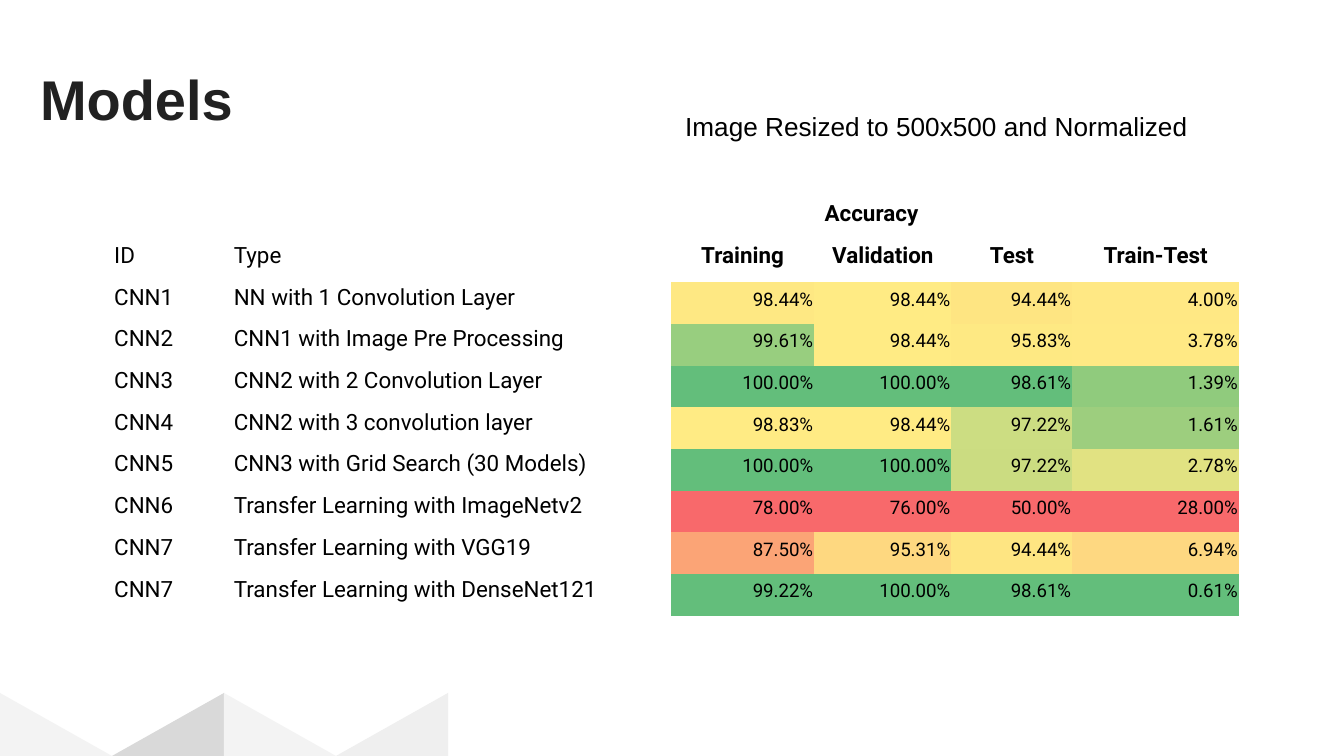
from typing import NamedTuple

from pptx import Presentation
from pptx.dml.color import RGBColor
from pptx.enum.shapes import MSO_SHAPE
from pptx.enum.text import MSO_ANCHOR, PP_ALIGN
from pptx.oxml.ns import qn
from pptx.util import Inches, Pt
from lxml import etree

LEFT, CENTER, RIGHT = PP_ALIGN.LEFT, PP_ALIGN.CENTER, PP_ALIGN.RIGHT
BOTTOM = MSO_ANCHOR.BOTTOM
RIGHT_TRIANGLE = MSO_SHAPE.RIGHT_TRIANGLE

SLIDE_W = 10
SLIDE_H = SLIDE_W * 9 / 16
FOLD_W, FOLD_H = SLIDE_W / 12, SLIDE_H / 12
COLUMN_WIDTHS = (0.89, 3.26, 1.07, 1.02, 0.9, 1.24)
ROW_H = 0.22  # least height; rows grow with their text
BLACK = "000000"


class TextStyle(NamedTuple):
    size: float
    font: str = "Roboto"
    color: str = BLACK
    bold: bool = False
    align: PP_ALIGN = LEFT
    spacing: float = 1.0


class Fold(NamedTuple):
    color: str
    rising: bool


class Model(NamedTuple):
    id: str
    type: str
    accuracies: tuple[str, ...]
    heat: tuple[str, ...]


TITLE = TextStyle(30, "Arial", "212121", True)
CAPTION = TextStyle(14, "Arial")
LABEL = TextStyle(12)
GROUP_HEAD = TextStyle(12, bold=True, align=CENTER, spacing=1.15)
COLUMN_HEAD = TextStyle(12, bold=True, align=CENTER)
VALUE = TextStyle(10, align=RIGHT, spacing=1.15)

FOLDS = (Fold("F3F3F3", False), Fold("D9D9D9", True),
         Fold("F3F3F3", False), Fold("EFEFEF", True))

HEADS = ("ID", "Type", "Training", "Validation", "Test", "Train-Test")
MODELS = (
    Model("CNN1", "NN with 1 Convolution Layer",
          ("98.44%", "98.44%", "94.44%", "4.00%"),
          ("FEE883", "FFEB84", "FEE582", "FFE884")),
    Model("CNN2", "CNN1 with Image Pre Processing",
          ("99.61%", "98.44%", "95.83%", "3.78%"),
          ("98CE7F", "FFEB84", "FEE983", "FFE984")),
    Model("CNN3", "CNN2 with 2 Convolution Layer",
          ("100.00%", "100.00%", "98.61%", "1.39%"),
          ("63BE7B", "63BE7B", "63BE7B", "90CB7D")),
    Model("CNN4", "CNN2 with 3 convolution layer",
          ("98.83%", "98.44%", "97.22%", "1.61%"),
          ("FFEB84", "FFEB84", "CCDD82", "9DCE7E")),
    Model("CNN5", "CNN3 with Grid Search (30 Models)",
          ("100.00%", "100.00%", "97.22%", "2.78%"),
          ("63BE7B", "63BE7B", "CBDC81", "E1E282")),
    Model("CNN6", "Transfer Learning with ImageNetv2",
          ("78.00%", "76.00%", "50.00%", "28.00%"),
          ("F8696B",) * 4),
    Model("CNN7", "Transfer Learning with VGG19",
          ("87.50%", "95.31%", "94.44%", "6.94%"),
          ("FBA476", "FED880", "FEE582", "FED881")),
    Model("CNN7", "Transfer Learning with DenseNet121",
          ("99.22%", "100.00%", "98.61%", "0.61%"),
          ("63BE7B",) * 4),
)


def paint(fill, color: str) -> None:
    fill.solid()
    fill.fore_color.rgb = RGBColor.from_string(color)


def set_all(target, values: dict) -> None:
    for attribute, value in values.items():
        setattr(target, attribute, value)


def write(frame, text: str, style: TextStyle) -> None:
    paragraph = frame.paragraphs[0]
    set_all(paragraph, {"alignment": style.align, "line_spacing": style.spacing})
    run = paragraph.add_run()
    run.text = text
    set_all(run.font, {"size": Pt(style.size), "name": style.font, "bold": style.bold})
    paint(run.font.fill, style.color)


def add_text(slide, left: float, top: float, width: float, height: float,
             inset: float, text: str, style: TextStyle) -> None:
    box = slide.shapes.add_textbox(*map(Inches, (left, top, width, height)))
    set_all(box.text_frame, {"word_wrap": True, "margin_top": Inches(inset),
                             "margin_bottom": Inches(inset)})
    write(box.text_frame, text, style)


def add_fold(slide, column: int, fold: Fold) -> None:
    # The triangle is turned a quarter, so its height runs across the slide
    center_x, center_y = (column + 0.5) * FOLD_W, SLIDE_H - FOLD_H / 2
    triangle = slide.shapes.add_shape(
        RIGHT_TRIANGLE, Inches(center_x - FOLD_H / 2), Inches(center_y - FOLD_W / 2),
        Inches(FOLD_H), Inches(FOLD_W))
    triangle.rotation = 270 if fold.rising else 90
    if not fold.rising:
        triangle._element.spPr.find(qn("a:xfrm")).set("flipH", "1")
    triangle.shadow.inherit = False
    triangle.line.fill.background()
    paint(triangle.fill, fold.color)


def clear_cell(cell) -> None:
    properties = cell._tc.get_or_add_tcPr()
    for edge in ("a:lnL", "a:lnR", "a:lnT", "a:lnB"):
        border = etree.SubElement(properties, qn(edge), w="0")
        etree.SubElement(border, qn("a:noFill"))
    cell.fill.background()
    set_all(cell, {"margin_left": 0, "margin_right": 0,
                   "margin_top": 0, "margin_bottom": 0})


def fill_cell(cell, text: str, style: TextStyle, heat: str = "") -> None:
    thin = Inches(0.01)
    set_all(cell, {"margin_left": thin, "margin_right": thin, "margin_top": thin,
                   "margin_bottom": Inches(0.1), "vertical_anchor": BOTTOM})
    write(cell.text_frame, text, style)
    if heat:
        paint(cell.fill, heat)


def add_models_table(slide, left: float, top: float) -> None:
    row_count = len(MODELS) + 2
    table = slide.shapes.add_table(
        row_count, len(COLUMN_WIDTHS), Inches(left), Inches(top),
        Inches(sum(COLUMN_WIDTHS)), Inches(ROW_H * row_count)).table
    set_all(table, {"first_row": False, "horz_banding": False})
    for column, width in zip(table.columns, COLUMN_WIDTHS):
        column.width = Inches(width)
    for cell in table.iter_cells():
        clear_cell(cell)

    # Heading rows
    table.cell(0, 2).merge(table.cell(0, 4))
    fill_cell(table.cell(0, 2), "Accuracy", GROUP_HEAD)
    for column, head in enumerate(HEADS):
        fill_cell(table.cell(1, column), head, LABEL if column < 2 else COLUMN_HEAD)

    # One row per model, with its heat colours
    for row, model in enumerate(MODELS, start=2):
        fill_cell(table.cell(row, 0), model.id, LABEL)
        fill_cell(table.cell(row, 1), model.type, LABEL)
        for column, (accuracy, heat) in enumerate(zip(model.accuracies, model.heat), start=2):
            fill_cell(table.cell(row, column), accuracy, VALUE, heat)


def main() -> None:
    deck = Presentation()
    set_all(deck, {"slide_width": Inches(SLIDE_W), "slide_height": Inches(SLIDE_H)})
    slide = deck.slides.add_slide(deck.slide_layouts[6])
    paint(slide.background.fill, "FFFFFF")

    # Folded paper along the bottom edge
    for column, fold in enumerate(FOLDS):
        add_fold(slide, column, fold)

    # Title, results and caption
    add_text(slide, 0.2, 0.38, 9.04, 1.1, 0.1, "Models", TITLE)
    add_models_table(slide, 0.84, 1.45)
    add_text(slide, SLIDE_W / 2, 0.77, 4.36, 0.34, 0.05,
             "Image Resized to 500x500 and Normalized", CAPTION)
    deck.save("out.pptx")


if __name__ == "__main__":
    main()
